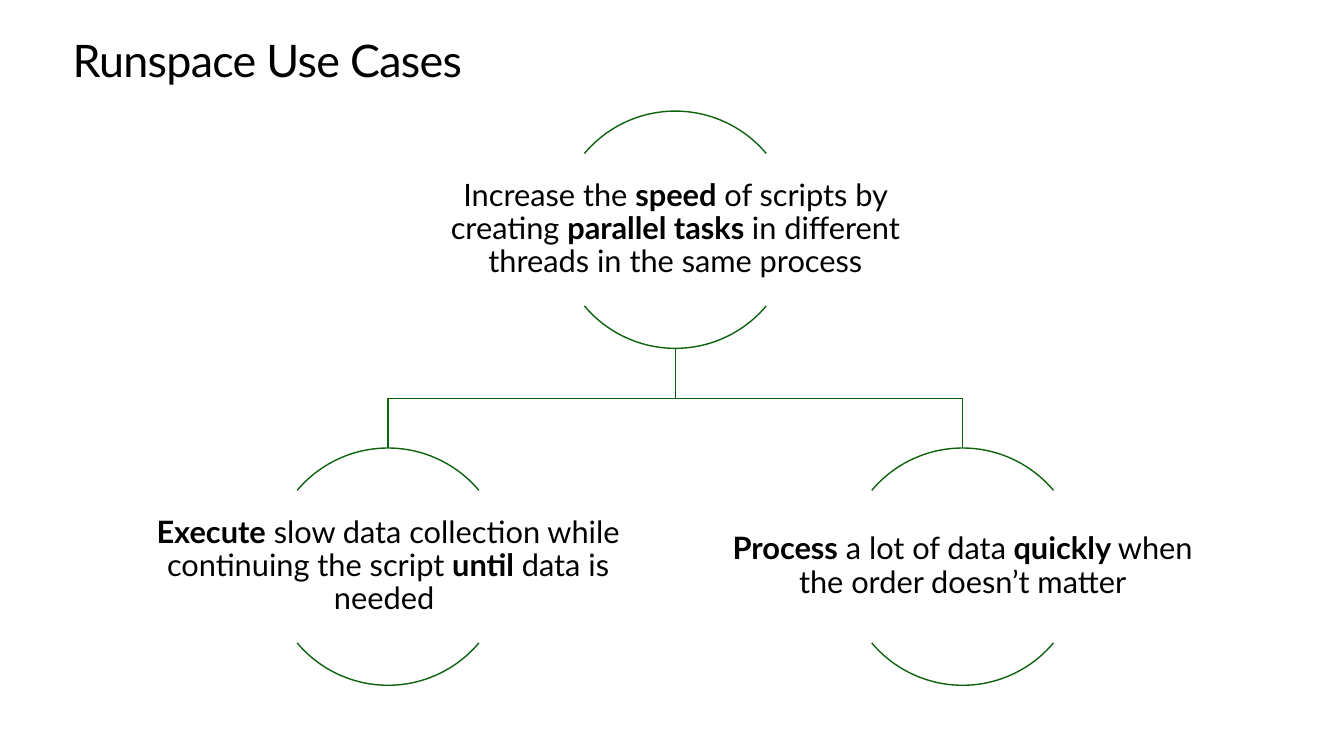
"""Build the Runspace Use Cases slide: one main use case branching into two others."""
from dataclasses import dataclass

from pptx import Presentation
from pptx.dml.color import RGBColor
from pptx.enum.shapes import MSO_SHAPE
from pptx.enum.text import MSO_ANCHOR, MSO_AUTO_SIZE, PP_ALIGN
from pptx.util import Cm, Pt


@dataclass(frozen=True)
class Theme:
    font: str = "Lato"
    text: RGBColor = RGBColor(0x00, 0x00, 0x00)
    line: RGBColor = RGBColor(0x0D, 0x63, 0x0D)
    title_size: Pt = Pt(32)
    body_size: Pt = Pt(22)
    line_width: Pt = Pt(1)


theme = Theme()


def add_text(paragraph, text, size, bold=False):
    run = paragraph.add_run()
    run.text = text
    run.font.name = theme.font
    run.font.size = size
    run.font.bold = bold
    run.font.color.rgb = theme.text
    return run


def style_outline(shape):
    shape.shadow.inherit = False
    shape.fill.background()
    shape.line.color.rgb = theme.line
    shape.line.width = theme.line_width


presentation = Presentation()
presentation.slide_width = Cm(33.87)
presentation.slide_height = Cm(19.05)
slide = presentation.slides.add_slide(presentation.slide_layouts[5])

title = slide.shapes.title
title.left, title.top, title.width, title.height = Cm(1.83), Cm(0.89), Cm(30.23), Cm(1.27)
frame = title.text_frame
frame.margin_left = frame.margin_top = frame.margin_right = frame.margin_bottom = 0
frame.vertical_anchor = MSO_ANCHOR.TOP
frame.auto_size = MSO_AUTO_SIZE.NONE
frame.word_wrap = True
paragraph = frame.paragraphs[0]
paragraph.alignment = PP_ALIGN.LEFT
paragraph.line_spacing = Pt(36.2)
title_run = add_text(paragraph, "Runspace Use Cases", theme.title_size)
title_run.font._element.set("spc", "-50")

diameter = 5.98
box_width, box_height = 11.96, 3.83
center, branch_offset = 17.02, 7.24
root_top, branch_top = 2.8, 11.29
root_bottom = root_top + diameter
bend = (root_bottom + branch_top) / 2
arc_angles = [(132, 192), (24, 84)]

use_cases = [
    (center, root_top, [
        ("Increase the ", False), ("speed", True), (" of scripts by creating ", False),
        ("parallel tasks ", True), ("in different threads in the same process", False),
    ]),
    (center - branch_offset, branch_top, [
        ("Execute", True), (" slow data collection while continuing the script ", False),
        ("until", True), (" data is needed ", False),
    ]),
    (center + branch_offset, branch_top, [
        ("Process", True), (" a lot of data", False), (" quickly ", True),
        ("when the order doesn’t matter", False),
    ]),
]

for branch_center in (center + branch_offset, center - branch_offset):
    builder = slide.shapes.build_freeform(Cm(center), Cm(root_bottom))
    corners = [(center, bend), (branch_center, bend), (branch_center, branch_top)]
    builder.add_line_segments([(Cm(x), Cm(y)) for x, y in corners], close=False)
    style_outline(builder.convert_to_shape())

for middle, top, phrases in use_cases:
    for start, end in arc_angles:
        arc = slide.shapes.add_shape(
            MSO_SHAPE.ARC, Cm(middle - diameter / 2), Cm(top), Cm(diameter), Cm(diameter))
        arc.adjustments[0] = start
        arc.adjustments[1] = end
        style_outline(arc)

    box = slide.shapes.add_textbox(
        Cm(middle - box_width / 2), Cm(top + (diameter - box_height) / 2),
        Cm(box_width), Cm(box_height))
    frame = box.text_frame
    frame.word_wrap = True
    frame.vertical_anchor = MSO_ANCHOR.MIDDLE
    frame.margin_left = frame.margin_top = frame.margin_right = frame.margin_bottom = Cm(0.05)
    paragraph = frame.paragraphs[0]
    paragraph.alignment = PP_ALIGN.CENTER
    paragraph.line_spacing = 0.9
    for phrase, bold in phrases:
        add_text(paragraph, phrase, theme.body_size, bold)

presentation.save("out.pptx")
